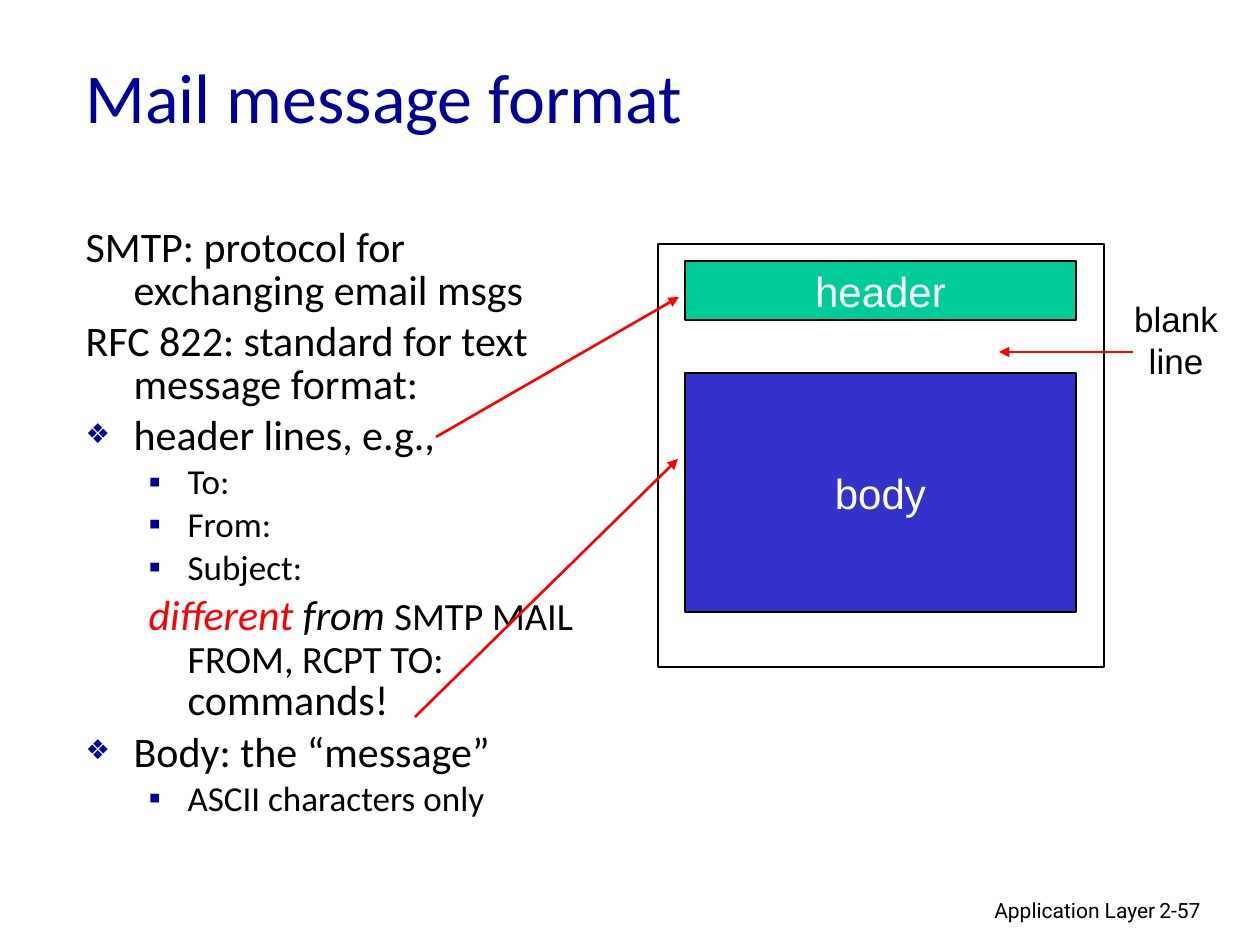
from lxml import etree
from pptx import Presentation
from pptx import util as u
from pptx.dml.color import RGBColor
from pptx.enum import shapes, text
from pptx.oxml.ns import qn

COLORS = {"navy": "000099", "black": "000000", "red": "FF0000",
          "green": "00CC99", "blue": "3333CC", "white": "FFFFFF"}
SCALE = 914400 / 126

TITLE = ("Mail message format", (73, 16, 1071, 158))
POINTS_BOX = (73, 222, 525, 640)
POINTS = [
    (0, None, [("SMTP: protocol for exchanging email msgs", 24, "black", False)]),
    (0, None, [("RFC 822: standard for text message format:", 24, "black", False)]),
    (0, "❖", [("header lines, e.g.,", 24, "black", False)]),
    (1, "▪", [("To:", 20, "black", False)]),
    (1, "▪", [("From:", 20, "black", False)]),
    (1, "▪", [("Subject:", 20, "black", False)]),
    (1, None, [("different ", 24, "red", True), ("from ", 24, "black", True),
               ("SMTP MAIL FROM, RCPT TO:", 22, "black", False),
               (" commands!", 24, "black", False)]),
    (0, "❖", [("Body: the “message”", 24, "black", False)]),
    (1, "▪", [("ASCII characters only", 20, "black", False)]),
]
INDENTS = [(48, -48), (102, -39)]
BULLET_SIZES = {"❖": "65000", "▪": "100000"}
MESSAGE_PARTS = [
    ("header", (685, 261, 391, 59), "green", 0.75),
    ("body", (685, 373, 391, 239), "blue", 0.75),
    ("", (658, 244, 446, 423), None, 1),
]
ARROWS = [(436, 437, 679, 297), (415, 717, 678, 459), (1133, 352, 999, 352)]
LABELS = [
    ("Application Layer", (769, 891, 399, 39), "Roboto", 12, text.PP_ALIGN.RIGHT, True),
    ("2-57", (1147, 891, 93, 38), "Roboto", 12, text.PP_ALIGN.LEFT, True),
    ("blank\nline", (1121, 291, 110, 97), "Arial", 20, text.PP_ALIGN.CENTER, False),
]


def px(*lengths):
    return [u.Emu(round(length * SCALE)) for length in lengths]


def rgb(name):
    return RGBColor.from_string(COLORS[name])


def style(run, font, size, color, italic=False):
    run.font.name = font
    run.font.size = u.Pt(size)
    run.font.color.rgb = rgb(color)
    run.font.italic = italic


def style_frame(frame, font, size, color, align):
    for paragraph in frame.paragraphs:
        paragraph.alignment = align
        for run in paragraph.runs:
            style(run, font, size, color)


def place(shape, box):
    shape.left, shape.top, shape.width, shape.height = px(*box)


def set_bullet(paragraph, level, mark):
    props = paragraph._p.get_or_add_pPr()
    margin, indent = px(*INDENTS[level])
    props.set("marL", str(margin))
    props.set("indent", str(indent))
    if mark is None:
        etree.SubElement(props, qn("a:buNone"))
        return
    color = etree.SubElement(props, qn("a:buClr"))
    etree.SubElement(color, qn("a:srgbClr"), val=COLORS["navy"])
    etree.SubElement(props, qn("a:buSzPct"), val=BULLET_SIZES[mark])
    etree.SubElement(props, qn("a:buChar"), char=mark)


def add_title(slide):
    wording, box = TITLE
    title = slide.shapes.title
    place(title, box)
    frame = title.text_frame
    frame.text = wording
    frame.auto_size = text.MSO_AUTO_SIZE.NONE
    frame.vertical_anchor = text.MSO_ANCHOR.MIDDLE
    style_frame(frame, "Calibri", 40, "navy", text.PP_ALIGN.LEFT)


def add_points(slide):
    points = slide.placeholders[1]
    place(points, POINTS_BOX)
    frame = points.text_frame
    frame.auto_size = text.MSO_AUTO_SIZE.NONE
    for index, (level, mark, pieces) in enumerate(POINTS):
        paragraph = frame.add_paragraph() if index else frame.paragraphs[0]
        paragraph.level = level
        paragraph.line_spacing = 0.85
        paragraph.space_before = u.Pt(0.2 * pieces[0][1])
        set_bullet(paragraph, level, mark)
        for wording, size, color, italic in pieces:
            run = paragraph.add_run()
            run.text = wording
            style(run, "Calibri", size, color, italic)


def add_message(slide):
    for wording, box, fill, weight in MESSAGE_PARTS:
        part = slide.shapes.add_shape(shapes.MSO_SHAPE.RECTANGLE, *px(*box))
        part.shadow.inherit = False
        part.line.color.rgb = rgb("black")
        part.line.width = u.Pt(weight)
        if fill:
            part.fill.solid()
            part.fill.fore_color.rgb = rgb(fill)
        else:
            part.fill.background()
        if wording:
            frame = part.text_frame
            frame.text = wording
            frame.word_wrap = False
            frame.vertical_anchor = text.MSO_ANCHOR.MIDDLE
            style_frame(frame, "Arial", 24, "white", text.PP_ALIGN.CENTER)


def add_arrows(slide):
    for ends in ARROWS:
        arrow = slide.shapes.add_connector(shapes.MSO_CONNECTOR.STRAIGHT, *px(*ends))
        arrow.line.color.rgb = rgb("red")
        arrow.line.width = u.Pt(1.5)
        etree.SubElement(arrow.line._get_or_add_ln(), qn("a:tailEnd"), type="triangle")
        etree.SubElement(arrow._element.spPr, qn("a:effectLst"))


def add_labels(slide):
    for wording, box, font, size, align, wrap in LABELS:
        frame = slide.shapes.add_textbox(*px(*box)).text_frame
        frame.text = wording
        frame.word_wrap = wrap
        style_frame(frame, font, size, "black", align)


def main():
    deck = Presentation()
    deck.slide_width, deck.slide_height = px(1260, 945)
    slide = deck.slides.add_slide(deck.slide_layouts[1])
    for add_part in (add_title, add_points, add_message, add_arrows, add_labels):
        add_part(slide)
    deck.save("out.pptx")


if __name__ == "__main__":
    main()
